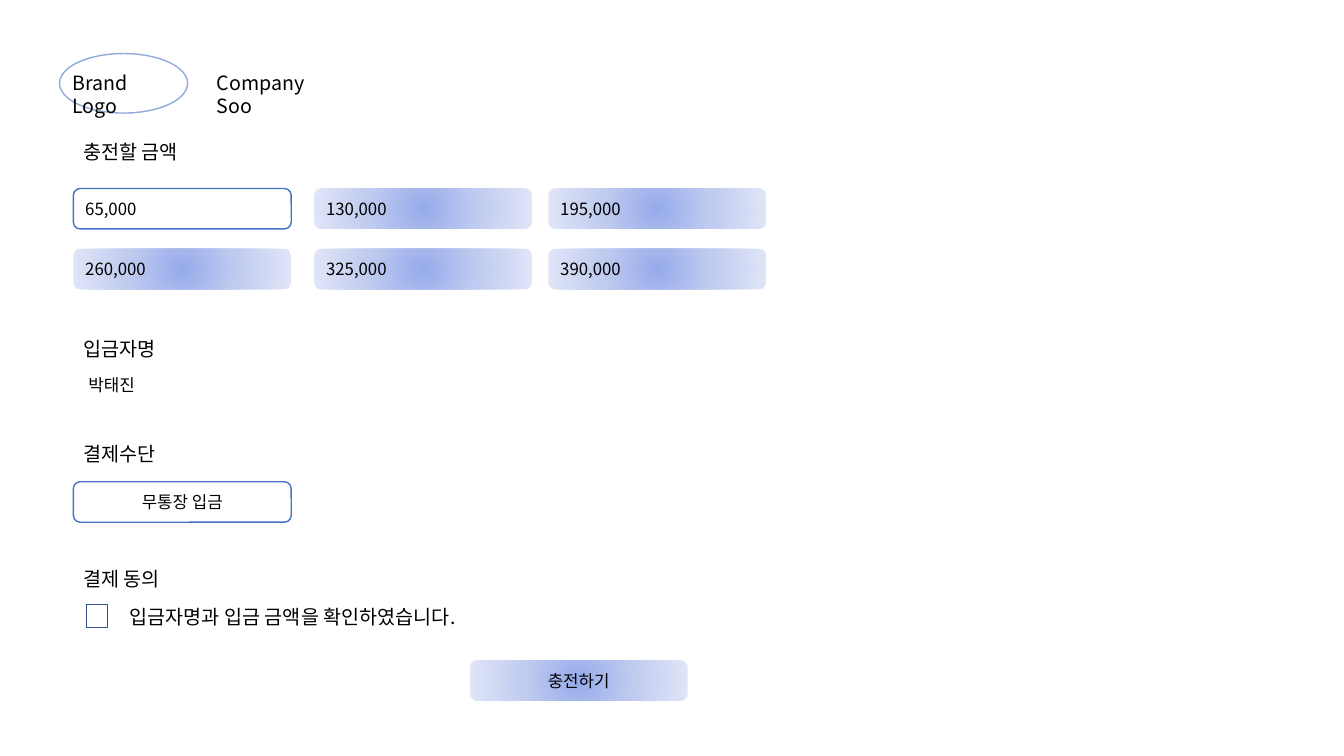
from lxml import etree
from pptx import Presentation
from pptx.dml.color import RGBColor
from pptx.enum.shapes import MSO_SHAPE
from pptx.enum.text import MSO_ANCHOR, MSO_AUTO_SIZE, PP_ALIGN
from pptx.oxml import parse_xml
from pptx.oxml.ns import qn
from pptx.util import Cm, Pt

OVAL, RECT, ROUNDED = MSO_SHAPE.OVAL, MSO_SHAPE.RECTANGLE, MSO_SHAPE.ROUNDED_RECTANGLE
LEFT, CENTER = PP_ALIGN.LEFT, PP_ALIGN.CENTER
FONT = "Noto Sans CJK KR"
COLORS = {
    "text": "000000", "white": "FFFFFF", "logo": "8FAADC",
    "outline": "4472C4", "checkbox": "325491",
    "inner": "96ABEA", "middle": "C0CBF0", "outer": "E0E5F7",
}
BUTTON_W, BUTTON_H = 5.49, 1.02
AMOUNTS = [["65,000", "130,000", "195,000"], ["260,000", "325,000", "390,000"]]
COLUMN_OFFSETS = [0, 6.07, 11.97]
SELECTED = "65,000"


def color(name):
    return RGBColor.from_string(COLORS[name])


def write(tf, text, size, align=LEFT):
    tf.word_wrap = True
    p = tf.paragraphs[0]
    p.text = text
    p.alignment = align
    p.font.size = Pt(size)
    p.font.color.rgb = color("text")
    p.font.name = FONT
    latin = p.font._element.find(qn("a:latin"))
    east_asian = etree.Element(qn("a:ea"), typeface=FONT)
    latin.addnext(east_asian)


def add_label(slide, x, y, w, text, size=14):
    box = slide.shapes.add_textbox(Cm(x), Cm(y), Cm(w), Cm(0.86))
    write(box.text_frame, text, size)
    box.text_frame.auto_size = MSO_AUTO_SIZE.SHAPE_TO_FIT_TEXT


def add_outline(slide, kind, x, y, w, h, line, fill=None):
    sp = slide.shapes.add_shape(kind, Cm(x), Cm(y), Cm(w), Cm(h))
    sp.shadow.inherit = False
    if fill:
        sp.fill.solid()
        sp.fill.fore_color.rgb = color(fill)
    else:
        sp.fill.background()
    sp.line.color.rgb = color(line)
    sp.line.width = Pt(1)
    return sp


def fill_radial(sp):
    stops = "".join(
        f'<a:gs pos="{pos}"><a:srgbClr val="{COLORS[name]}"/></a:gs>'
        for pos, name in [(0, "inner"), (50000, "middle"), (100000, "outer")])
    gradient = parse_xml(
        '<a:gradFill xmlns:a="http://schemas.openxmlformats.org/drawingml/2006/main"'
        f' rotWithShape="1"><a:gsLst>{stops}</a:gsLst><a:path path="circle">'
        '<a:fillToRect l="50000" t="50000" r="50000" b="50000"/></a:path></a:gradFill>')
    solid = sp._element.spPr.find(qn("a:solidFill"))
    solid.getparent().replace(solid, gradient)


def add_button(slide, x, y, text, align=LEFT, outlined=False):
    sp = add_outline(slide, ROUNDED, x, y, BUTTON_W, BUTTON_H, "outline", "white")
    if not outlined:
        fill_radial(sp)
        sp.line.fill.background()
    sp.text_frame.vertical_anchor = MSO_ANCHOR.MIDDLE
    write(sp.text_frame, text, 12, align)


def add_header(slide, x, y):
    add_outline(slide, OVAL, x, y, 3.23, 1.5, "logo")
    add_label(slide, x + 0.07, y + 0.3, 3.06, "Brand Logo")
    add_label(slide, x + 3.71, y + 0.3, 3.6, "Company Soo")


def add_amounts(slide, x, y):
    add_label(slide, x, y, 3.18, "충전할 금액")
    for row, amounts in enumerate(AMOUNTS):
        for offset, amount in zip(COLUMN_OFFSETS, amounts):
            add_button(slide, x + offset, y + 1.35 + row * 1.52, amount,
                       outlined=amount == SELECTED)


def add_payer(slide, x, y):
    add_label(slide, x, y, 2.51, "입금자명")
    add_label(slide, x + 0.13, y + 0.96, 1.8, "박태진", 12)


def add_method(slide, x, y):
    add_label(slide, x, y, 2.51, "결제수단")
    add_button(slide, x, y + 1.12, "무통장 입금", CENTER, outlined=True)


def add_agreement(slide, x, y):
    add_label(slide, x, y, 2.69, "결제 동의")
    add_outline(slide, RECT, x + 0.33, y + 1.07, 0.53, 0.58, "checkbox", "white")
    add_label(slide, x + 1.17, y + 0.94, 9.8, "입금자명과 입금 금액을 확인하였습니다.")
    add_button(slide, x + 9.99, y + 2.47, "충전하기", CENTER)


def main():
    prs = Presentation()
    prs.slide_width, prs.slide_height = Cm(33.87), Cm(19.05)
    slide = prs.slides.add_slide(prs.slide_layouts[6])
    left = 1.85

    # Logo and company name
    add_header(slide, 1.5, 1.35)
    # Payment form
    add_amounts(slide, left, 3.4)
    add_payer(slide, left, 8.36)
    add_method(slide, left, 11.02)
    # Consent and submit button
    add_agreement(slide, left, 14.17)

    prs.save("out.pptx")


if __name__ == "__main__":
    main()
